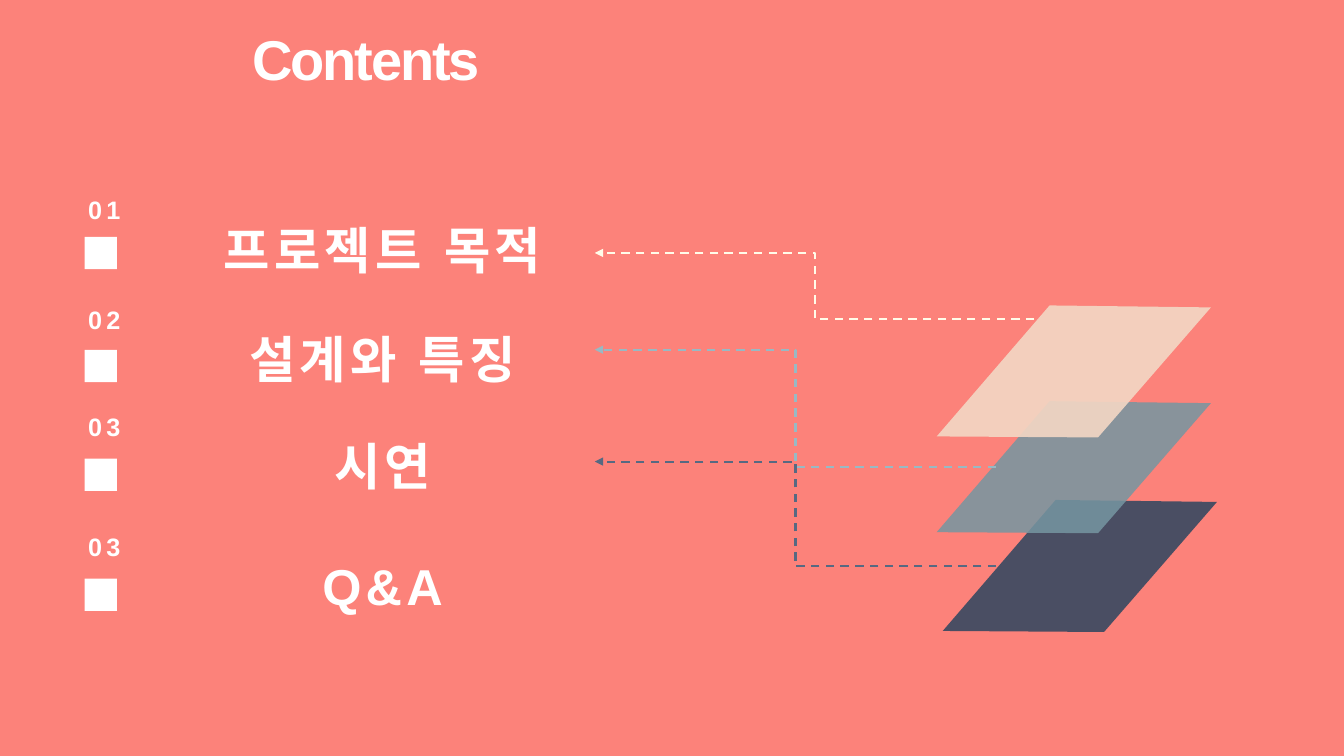
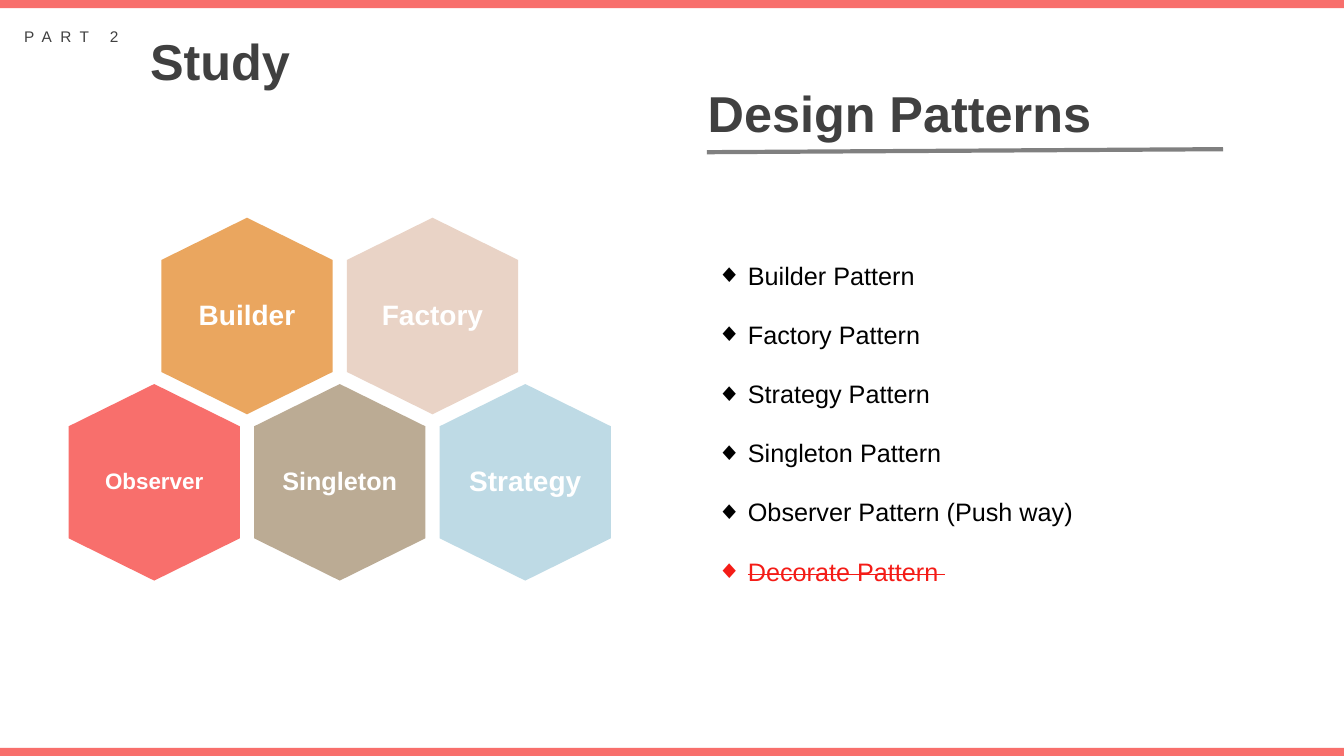
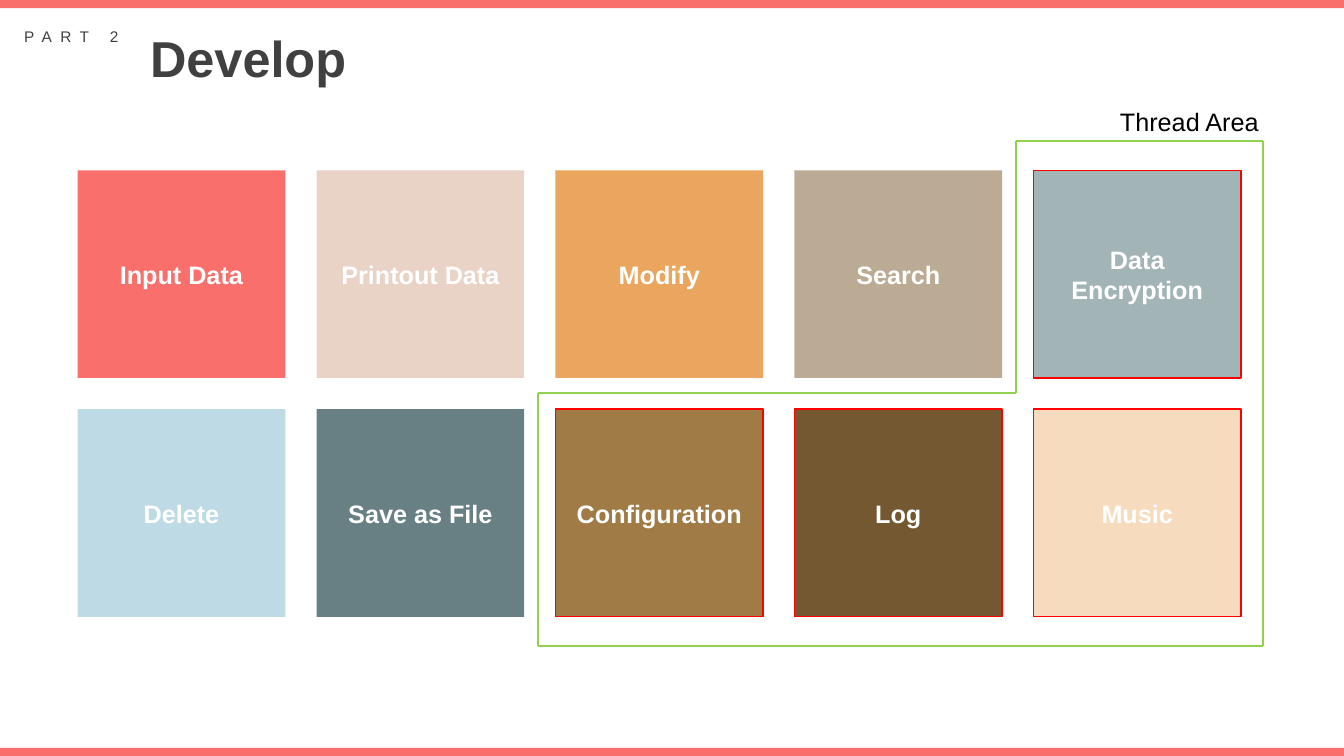
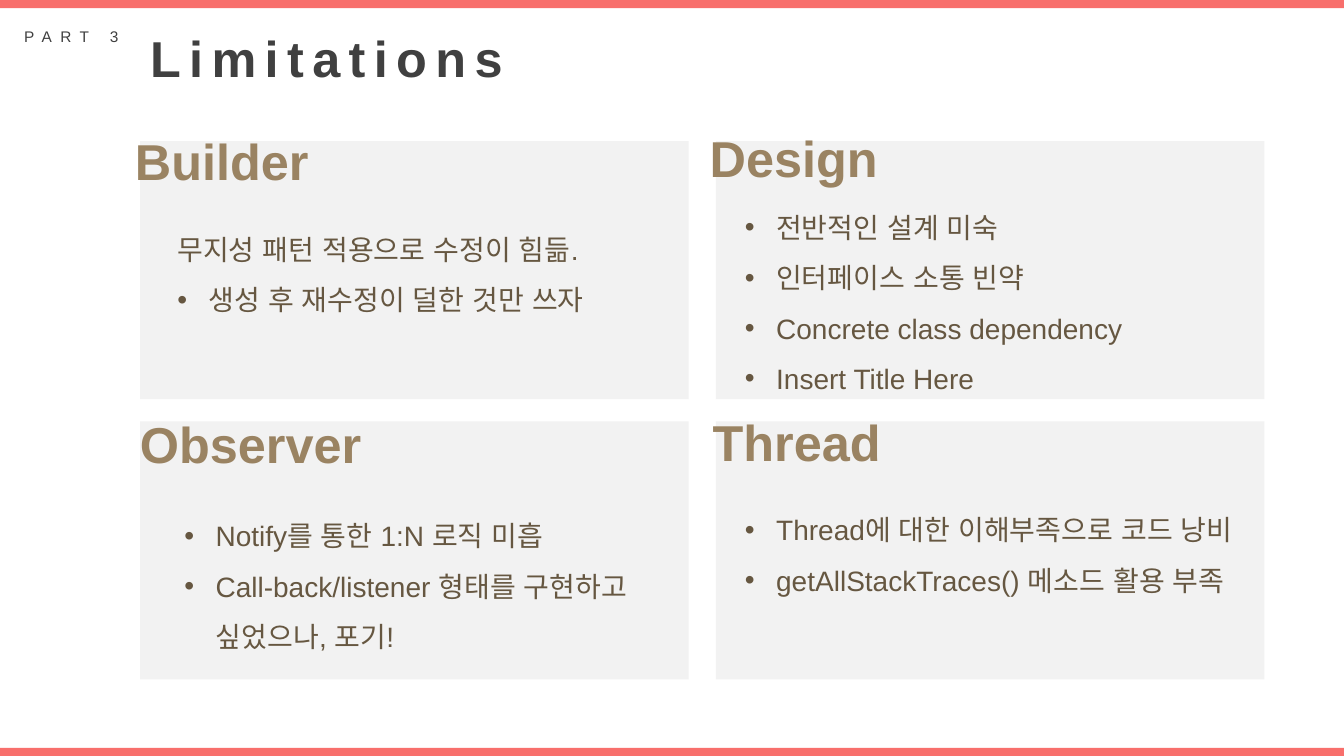
from dataclasses import dataclass

from lxml import etree
from pptx import Presentation
from pptx.dml.color import RGBColor
from pptx.enum.dml import MSO_LINE
from pptx.enum.shapes import MSO_CONNECTOR, MSO_SHAPE
from pptx.enum.text import MSO_ANCHOR, PP_ALIGN
from pptx.oxml.ns import qn
from pptx.util import Inches, Pt

RECT = MSO_SHAPE.RECTANGLE
STRAIGHT, ELBOW = MSO_CONNECTOR.STRAIGHT, MSO_CONNECTOR.ELBOW
LEFT, CENTER = PP_ALIGN.LEFT, PP_ALIGN.CENTER
TOP, MIDDLE = MSO_ANCHOR.TOP, MSO_ANCHOR.MIDDLE
DASH = MSO_LINE.DASH


@dataclass(frozen=True)
class Theme:
    width: float = 13.33
    height: float = 7.5
    band: float = 0.08
    font: str = "Arial"
    white: str = "FFFFFF"
    black: str = "000000"
    dark: str = "404040"
    cover: str = "FC827A"
    coral: str = "F86F6C"
    blush: str = "E9D3C6"
    orange: str = "EAA65F"
    taupe: str = "BBAB94"
    sky: str = "BEDAE5"
    teal: str = "688084"
    bronze: str = "A07B45"
    brown: str = "735831"
    mist: str = "A3B4B7"
    peach: str = "F7DBBF"
    panel: str = "F2F2F2"
    panel_title: str = "9A8362"
    panel_text: str = "665741"
    rule: str = "808080"
    dropped: str = "F41C17"
    threaded: str = "FF0000"
    thread_area: str = "92D050"
    cover_size: int = 40
    title_size: int = 36
    point_size: int = 20
    body_size: int = 18
    small_size: int = 16
    part_size: int = 11


T = Theme()


def rgb(code):
    return RGBColor.from_string(code)


def add_bullet(paragraph, mark):
    """Give the paragraph a hanging bullet."""
    pPr = paragraph._p.get_or_add_pPr()
    pPr.set("marL", str(Inches(0.31)))
    pPr.set("indent", str(-Inches(0.31)))
    etree.SubElement(pPr, qn("a:buFont")).set("typeface", T.font)
    etree.SubElement(pPr, qn("a:buChar")).set("char", mark)


def write_paragraph(paragraph, words, size=T.body_size, color=T.black, bold=False,
                    align=LEFT, tracking=0, leading=None, after=None, bullet=None,
                    strike=False):
    paragraph.alignment = align
    if leading:
        paragraph.line_spacing = leading
    if after:
        paragraph.space_after = Pt(after)
    if bullet:
        add_bullet(paragraph, bullet)
    run = paragraph.add_run()
    run.text = words
    run.font.name, run.font.size, run.font.bold = T.font, Pt(size), bold
    run.font.color.rgb = rgb(color)
    rPr = run._r.get_or_add_rPr()
    etree.SubElement(rPr, qn("a:ea")).set("typeface", T.font)
    if tracking:
        rPr.set("spc", str(int(tracking * 100)))
    if strike:
        rPr.set("strike", "sngStrike")


def write(frame, lines, anchor=TOP, **style):
    """Fill a frame; a line is a string or a (string, style changes) pair."""
    frame.word_wrap = True
    frame.vertical_anchor = anchor
    for i, line in enumerate([lines] if isinstance(lines, str) else lines):
        words, changes = (line, {}) if isinstance(line, str) else line
        paragraph = frame.add_paragraph() if i else frame.paragraphs[0]
        write_paragraph(paragraph, words, **{**style, **changes})


def add_text(slide, box, lines, **style):
    label = slide.shapes.add_textbox(*map(Inches, box))
    write(label.text_frame, lines, **style)


def paint(shape, fill, outline=None, opacity=None):
    shape.shadow.inherit = False
    shape.fill.solid()
    shape.fill.fore_color.rgb = rgb(fill)
    if opacity:
        color = shape._element.spPr.find(".//" + qn("a:srgbClr"))
        etree.SubElement(color, qn("a:alpha")).set("val", str(opacity * 1000))
    if outline:
        shape.line.color.rgb = rgb(outline)
        shape.line.width = Pt(1)
    else:
        shape.line.fill.background()
    return shape


def add_rect(slide, box, fill, outline=None):
    return paint(slide.shapes.add_shape(RECT, *map(Inches, box)), fill, outline)


def add_polygon(slide, left, top, corners, fill, opacity=None):
    points = [(Inches(left + x), Inches(top + y)) for x, y in corners]
    builder = slide.shapes.build_freeform(*points[0])
    builder.add_line_segments(points[1:])
    return paint(builder.convert_to_shape(), fill, opacity=opacity)


def add_line(slide, start, end, color, width=1.5, kind=STRAIGHT, arrow=False):
    """Draw a line; an arrow is dashed with a triangle at its end."""
    line = slide.shapes.add_connector(kind, *map(Inches, (*start, *end)))
    line.line.color.rgb = rgb(color)
    line.line.width = Pt(width)
    spPr = line._element.spPr
    if arrow:
        line.line.dash_style = DASH
        etree.SubElement(spPr.find(qn("a:ln")), qn("a:tailEnd")).set("type", "triangle")
    etree.SubElement(spPr, qn("a:effectLst"))


def new_slide(deck, color):
    slide = deck.slides.add_slide(deck.slide_layouts[6])
    slide.background.fill.solid()
    slide.background.fill.fore_color.rgb = rgb(color)
    return slide


def part_slide(deck, part, title, title_top=0.22, tracking=0):
    """Start a white slide with its bands, part label and title."""
    slide = new_slide(deck, T.white)
    for top in (0, T.height - T.band):
        add_rect(slide, (0, top, T.width, T.band), T.coral)
    add_text(slide, (0.14, 0.22, 1.25, 0.29), part, size=T.part_size,
             color=T.dark, tracking=6)
    add_text(slide, (1.39, title_top, 4.04, 0.71), title, size=T.title_size,
             color=T.dark, bold=True, tracking=tracking)
    return slide


def add_agenda_item(slide, left, top, marker_drop, number, topic):
    style = dict(color=T.white, bold=True, align=CENTER, tracking=3)
    add_text(slide, (left, top, 0.81, 0.4), number, **style)
    add_text(slide, (left + 1.33, top + 0.24, 3.67, 0.71), topic,
             size=T.title_size, **style)
    add_rect(slide, (left + 0.21, top + marker_drop, 0.32, 0.32), T.white)


def add_layers(slide, left, top):
    """Stack three see-through sheets, the lowest one first."""
    sheet = [(1.12, 0), (2.72, 0.02), (1.6, 1.31), (0, 1.3)]
    for dx, dy, color, opacity in ((0.06, 1.93, "374961", 90),
                                   (0, 0.95, "7696A1", 86),
                                   (0, 0, "F3D7C4", 91)):
        add_polygon(slide, left + dx, top + dy, sheet, color, opacity)


def contents_slide(deck):
    slide = new_slide(deck, T.cover)
    add_text(slide, (2.4, 0.19, 2.46, 0.77), "Contents", size=T.cover_size,
             color=T.white, bold=True, align=CENTER, tracking=-1.5)
    for item in ((1.88, 0.47, "01", "프로젝트 목적"),
                 (2.97, 0.5, "02", "설계와 특징"),
                 (4.03, 0.52, "03", "시연"),
                 (5.22, 0.52, "03", "Q&A")):
        add_agenda_item(slide, 0.63, *item)
    add_layers(slide, 9.29, 3.03)
    for start, end_y, color in (((10.26, 3.17), 2.51, "FFFCE9"),
                                ((9.88, 4.63), 3.47, "98B9C4"),
                                ((9.88, 5.62), 4.58, "566982")):
        add_line(slide, start, (5.9, end_y), color, kind=ELBOW, arrow=True)


def add_honeycomb(slide, left, top):
    hexagon = [(0.85, 0), (1.7, 0.42), (1.7, 1.53), (0.85, 1.95), (0, 1.53), (0, 0.42)]
    pitch_x, pitch_y = 1.84, 1.65
    rows = [
        (pitch_x / 2, [("Builder", T.orange, T.point_size),
                       ("Factory", T.blush, T.point_size)]),
        (0, [("Observer", T.coral, T.small_size),
             ("Singleton", T.taupe, T.body_size),
             ("Strategy", T.sky, T.point_size)]),
    ]
    for row, (shift, cells) in enumerate(rows):
        for col, (pattern, color, size) in enumerate(cells):
            cell = add_polygon(slide, left + shift + col * pitch_x,
                               top + row * pitch_y, hexagon, color)
            frame = cell.text_frame
            frame.margin_left = frame.margin_right = Inches(0.2)
            write(frame, pattern, anchor=MIDDLE, size=size, color=T.white,
                  bold=True, align=CENTER, leading=0.9)


def study_slide(deck):
    slide = part_slide(deck, "PART 2", "Study", title_top=0.25)
    add_text(slide, (6.92, 0.77, 4.04, 0.71), "Design Patterns",
             size=T.title_size, color=T.dark, bold=True)
    add_line(slide, (7.01, 1.51), (12.13, 1.48), T.rule, width=3)
    add_honeycomb(slide, 0.68, 2.16)
    add_text(slide, (7.01, 2.53, 5.75, 3.43),
             ["Builder Pattern", "Factory Pattern", "Strategy Pattern",
              "Singleton Pattern", "Observer Pattern (Push way)",
              ("Decorate Pattern ", dict(color=T.dropped, strike=True))],
             bullet="◆", after=20.7)


def add_features(slide, left, top):
    """Lay out the feature tiles; those run in threads are outlined."""
    side, pitch = 2.06, 2.37
    rows = [
        [("Input Data", T.coral, None), ("Printout Data", T.blush, None),
         ("Modify", T.orange, None), ("Search", T.taupe, None),
         (["Data", "Encryption"], T.mist, T.threaded)],
        [("Delete", T.sky, None), ("Save as File", T.teal, None),
         ("Configuration", T.bronze, T.threaded), ("Log", T.brown, T.threaded),
         ("Music", T.peach, T.threaded)],
    ]
    for row, features in enumerate(rows):
        for col, (feature, color, outline) in enumerate(features):
            tile = add_rect(slide, (left + col * pitch, top + row * pitch, side, side),
                            color, outline)
            write(tile.text_frame, feature, anchor=MIDDLE, color=T.white,
                  bold=True, align=CENTER)


def add_thread_area(slide, left, top, width, height):
    """Draw the L-shaped border and its label."""
    right, bottom = left + width, top + height
    step_x, step_y = left + 4.74, top + 2.5
    corners = [(left, step_y), (step_x, step_y), (step_x, top),
               (right, top), (right, bottom), (left, bottom)]
    for start, end in zip(corners, corners[1:] + corners[:1]):
        add_line(slide, start, end, T.thread_area)
    add_text(slide, (right - 1.52, top - 0.39, 1.71, 0.4), "Thread Area")


def develop_slide(deck):
    slide = part_slide(deck, "PART 2", "Develop")
    add_features(slide, 0.77, 1.69)
    add_thread_area(slide, 5.34, 1.4, 7.19, 5.01)


def add_limitation(slide, left, top, title, title_shift, points, points_box):
    """Draw a panel; the shift and the points box count from its corner."""
    add_rect(slide, (left, top, 5.44, 2.56), T.panel)
    dx, dy = title_shift
    add_text(slide, (left + dx, top + dy, 2.84, 0.71), title,
             size=T.title_size, color=T.panel_title, bold=True)
    dx, dy, width, height = points_box
    add_text(slide, (left + dx, top + dy, width, height), points,
             size=T.point_size, color=T.panel_text, leading=1.5, bullet="•")


def limitations_slide(deck):
    slide = part_slide(deck, "PART 3", "Limitations", tracking=6)
    panels = [
        ("Builder", (-0.15, -0.16),
         [("무지성 패턴 적용으로 수정이 힘듦.", dict(bullet=None)),
          "생성 후 재수정이 덜한 것만 쓰자"], (0.27, 0.69, 4.55, 1.05)),
        ("Design", (-0.16, -0.19),
         ["전반적인 설계 미숙", "인터페이스 소통 빈약",
          "Concrete class dependency", "Insert Title Here"],
         (0.19, 0.47, 4.87, 2.06)),
        ("Observer", (-0.1, -0.13),
         ["Notify를 통한 1:N 로직 미흡",
          "Call-back/listener 형태를 구현하고 싶었으나, 포기!"],
         (0.34, 0.75, 5.26, 1.55)),
        ("Thread", (-0.13, -0.15),
         ["Thread에 대한 이해부족으로 코드 낭비",
          "getAllStackTraces() 메소드 활용 부족"], (0.19, 0.69, 5.64, 1.55)),
    ]
    for i, panel in enumerate(panels):
        row, col = divmod(i, 2)
        add_limitation(slide, 1.39 + col * 5.71, 1.4 + row * 2.78, *panel)


def main():
    deck = Presentation()
    deck.slide_width, deck.slide_height = Inches(T.width), Inches(T.height)
    for build in (contents_slide, study_slide, develop_slide, limitations_slide):
        build(deck)
    deck.save("out.pptx")


if __name__ == "__main__":
    main()
